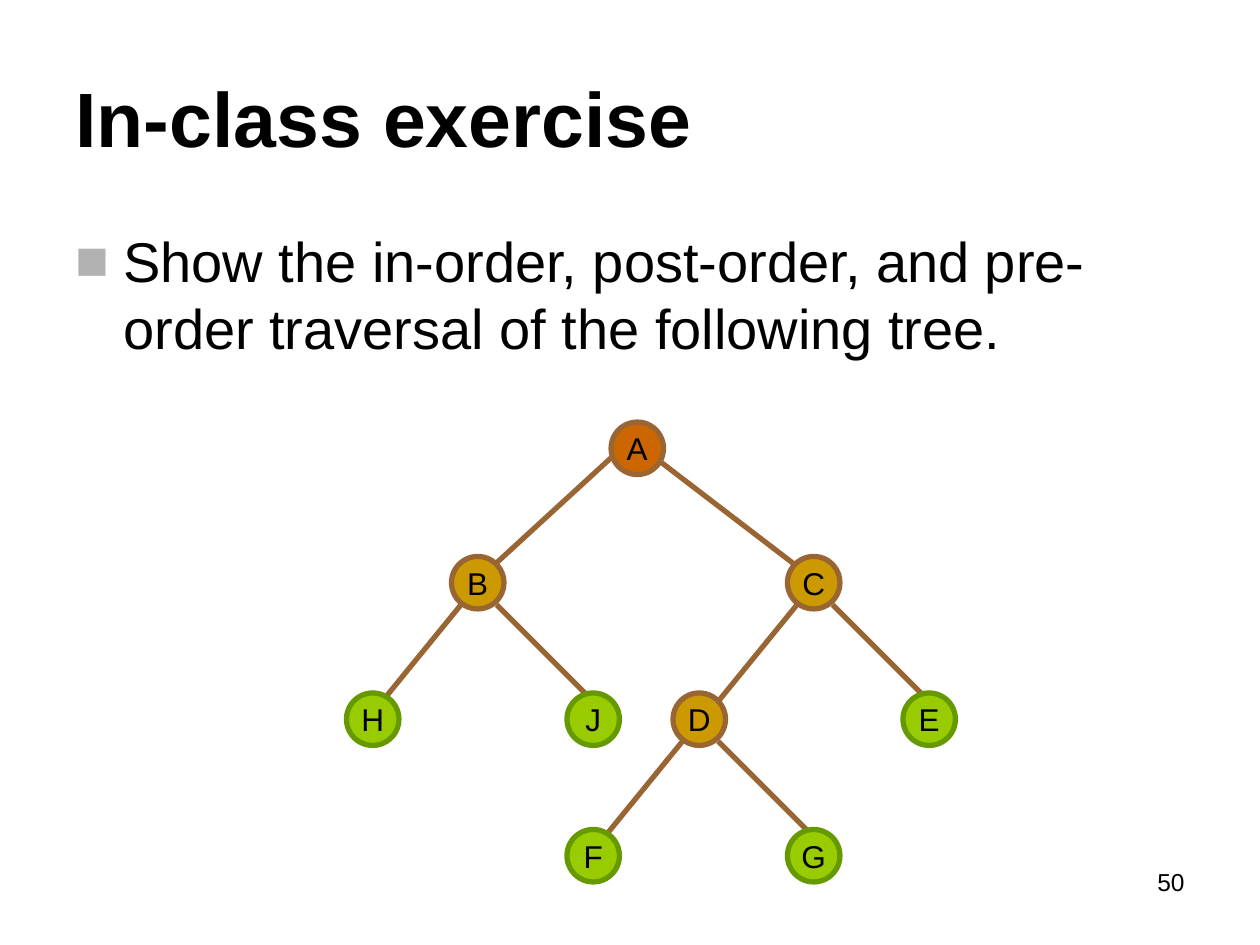
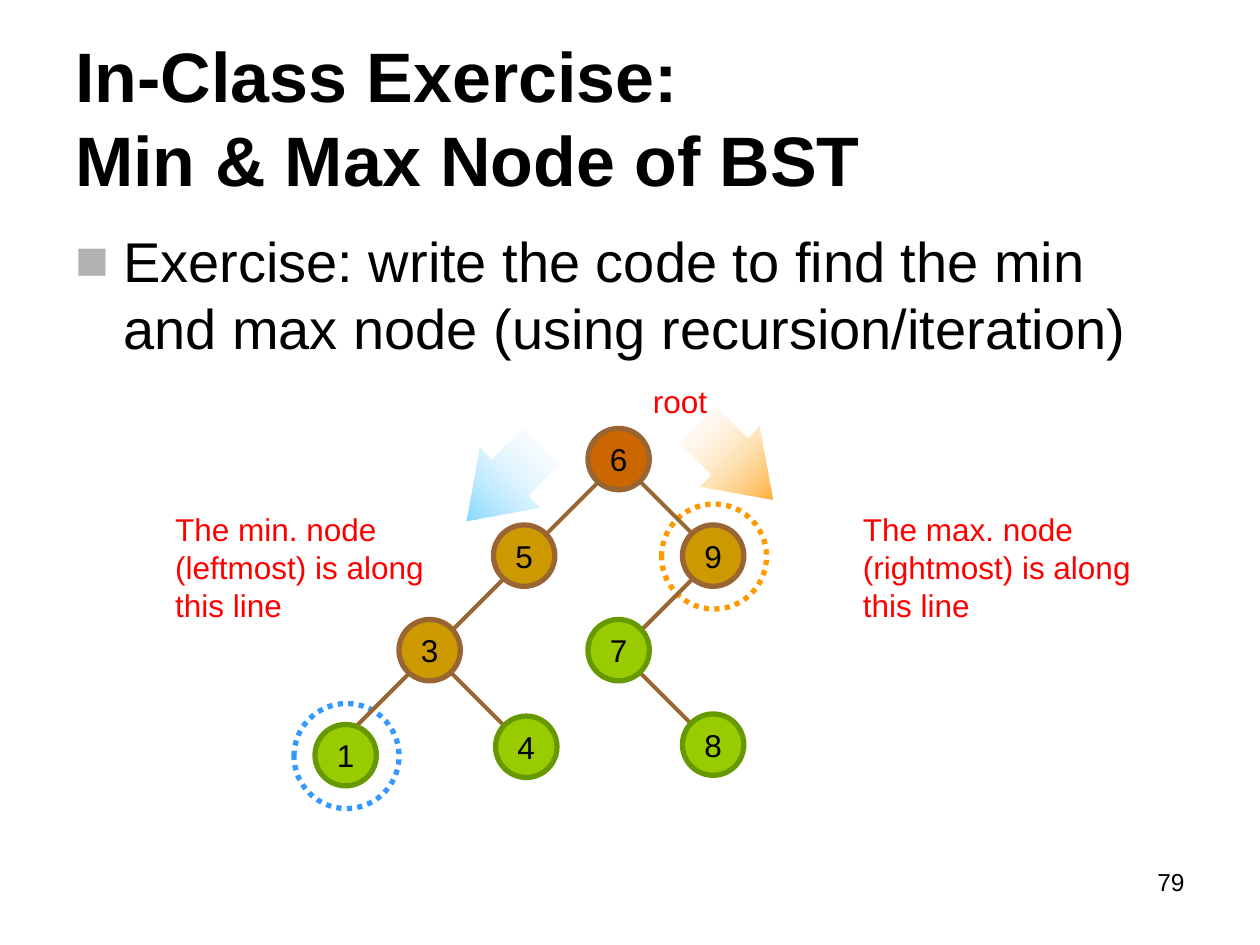
from dataclasses import dataclass

from lxml import etree
from pptx import Presentation, util as u
from pptx.dml.color import RGBColor
from pptx.enum import dml, shapes, text
from pptx.oxml.ns import qn


@dataclass(frozen=True)
class Theme:
    font: str = "Arial"
    ink: str = "000000"
    note: str = "FF0000"
    mark: str = "B2B2B2"
    edge: str = "996633"
    root: str = "CC6600"
    inner: str = "CC9900"
    leaf: str = "99CC00"
    rim: str = "669900"
    white: str = "FFFFFF"
    body: int = 32
    label: int = 18
    page: int = 14
    line: int = 3


T = Theme()
KIND = shapes.MSO_SHAPE
ALIGN = text.PP_ALIGN
MID = text.MSO_ANCHOR.MIDDLE

deck = Presentation()
deck.slide_width, deck.slide_height = u.Inches(10), u.Inches(7.5)
COLS, ROWS = 120, 90  # square grid cells, twelve to the inch
CELL = deck.slide_width / COLS


def grid(*cells):
    """Turn grid counts into slide lengths."""
    return [round(n * CELL) for n in cells]


def write(box, words, size=T.label, color=T.ink, bold=False, align=ALIGN.LEFT,
          anchor=text.MSO_ANCHOR.TOP, wrap=True, bullet=False):
    frame = box.text_frame
    frame.word_wrap = wrap
    frame.vertical_anchor = anchor
    par = frame.paragraphs[0]
    par.text = words
    par.alignment = align
    if bullet:
        props = par._p.get_or_add_pPr()
        props.set("marL", str(u.Inches(0.38)))
        props.set("indent", str(-u.Inches(0.38)))
        hue = etree.SubElement(props, qn("a:buClr"))
        etree.SubElement(hue, qn("a:srgbClr"), val=T.mark)
        etree.SubElement(props, qn("a:buFont"), typeface=T.font)
        etree.SubElement(props, qn("a:buChar"), char="■")
    for run in par.runs:
        run.font.name, run.font.size, run.font.bold = T.font, u.Pt(size), bold
        run.font.color.rgb = RGBColor.from_string(color)


# Edges: parent, start inside the parent's cell box, then run and drop
fork = [(0.9, 4.6, -7.5, 9.2), (4.3, 4.6, 8.4, 8.4)]
letters = dict(
    title="In-class exercise", size=44, page="50",
    body="Show the in-order, post-order, and pre-order traversal of the following tree.",
    wide=5, stroke=T.line, root="A", inner="BCD",
    nodes=dict(A=(58.2, 40.2), B=(43, 53), C=(75, 53), D=(64.1, 66),
               H=(33, 66), J=(54, 66), E=(86, 66), F=(54, 79), G=(75, 79)),
    edges=[("A", 0, 3.4, -10.9, 10), ("A", 4.2, 3.4, 13.6, 10.4)]
    + [(name, *arm) for name in "BCD" for arm in fork],
    rings=[], arrows=[], notes=[])

sides = [("6", -1), ("6", 1), ("5", -1), ("3", -1), ("3", 1), ("9", -1), ("7", 1)]
search = dict(
    title="In-Class Exercise:\vMin & Max Node of BST", size=40, page="79",
    body="Exercise: write the code to find the min and max node (using recursion/iteration)",
    wide=5.85, stroke=2.25, root="6", inner="539",
    nodes={"6": (56, 40.8), "5": (47, 50), "9": (65, 50), "3": (38, 59),
           "7": (56, 59), "1": (30, 69), "4": (47.2, 68.2), "8": (65, 68)},
    edges=[(name, 3 + 2 * way, 5.1, 5 * way, 5) for name, way in sides],
    rings=[(28, 67, "3399FF"), (63, 48, "FF9900")],
    arrows=[(44, 41, 225, "66CCFF"), (66, 39, 135, "FF9900")],
    notes=[("root", 61, 35.8, 18.5, 4.8),
           ("The min. node (leftmost) is along this line", 15.5, 48, 27.5, 12.1),
           ("The max. node (rightmost) is along this line", 81, 48, 33, 12.1)])

for tree in (letters, search):
    slide = deck.slides.add_slide(deck.slide_layouts[6])
    draw = slide.shapes

    # Title, task and page number
    write(draw.add_textbox(*grid(6, 3.6, 108, 15)), tree["title"],
          size=tree["size"], bold=True, anchor=MID)
    write(draw.add_textbox(*grid(6, 21, 108, 16)), tree["body"],
          size=T.body, bullet=True)
    write(draw.add_textbox(*grid(86, 82, 28, 6.2)), tree["page"],
          size=T.page, align=ALIGN.RIGHT)

    # Red notes and dotted rings
    for words, *place in tree["notes"]:
        write(draw.add_textbox(*grid(*place)), words, color=T.note)
    for col, row, hue in tree["rings"]:
        ring = draw.add_shape(KIND.OVAL, *grid(col, row, 10, 10))
        ring.shadow.inherit = False
        ring.fill.background()
        ring.line.color.rgb = RGBColor.from_string(hue)
        ring.line.width = u.Pt(T.line)
        ring.line.dash_style = dml.MSO_LINE.ROUND_DOT

    # Arrows fade out towards the tail
    for col, row, turn, hue in tree["arrows"]:
        arrow = draw.add_shape(KIND.UP_ARROW, *grid(col, row, 8, 10))
        arrow.shadow.inherit = False
        arrow.rotation = turn
        arrow.adjustments[0], arrow.adjustments[1] = 0.604, 0.724
        arrow.line.fill.background()
        arrow.fill.gradient()
        arrow.fill.gradient_angle = 270
        for stop, tone in zip(arrow.fill.gradient_stops, (hue, T.white)):
            stop.color.rgb = RGBColor.from_string(tone)
        tail = list(arrow.element.iter(qn("a:srgbClr")))[-1]
        etree.SubElement(tail, qn("a:alpha"), val="0")

    # Edges, then nodes on top
    for name, right, down, run, drop in tree["edges"]:
        col, row = tree["nodes"][name]
        x, y = col + right, row + down
        edge = draw.add_connector(shapes.MSO_CONNECTOR.STRAIGHT,
                                  *grid(x, y, x + run, y + drop))
        edge.line.color.rgb = RGBColor.from_string(T.edge)
        edge.line.width = u.Pt(tree["stroke"])
        etree.SubElement(edge.element.spPr, qn("a:effectLst"))
    for name, (col, row) in tree["nodes"].items():
        fill, rim = T.leaf, T.rim
        if name == tree["root"]:
            fill, rim = T.root, T.edge
        elif name in tree["inner"]:
            fill, rim = T.inner, T.edge
        node = draw.add_shape(KIND.OVAL, *grid(col, row, tree["wide"], tree["wide"]))
        node.shadow.inherit = False
        node.fill.solid()
        node.fill.fore_color.rgb = RGBColor.from_string(fill)
        node.line.color.rgb = RGBColor.from_string(rim)
        node.line.width = u.Pt(T.line)
        write(node, name, align=ALIGN.CENTER, anchor=MID, wrap=False)

deck.save("out.pptx")
